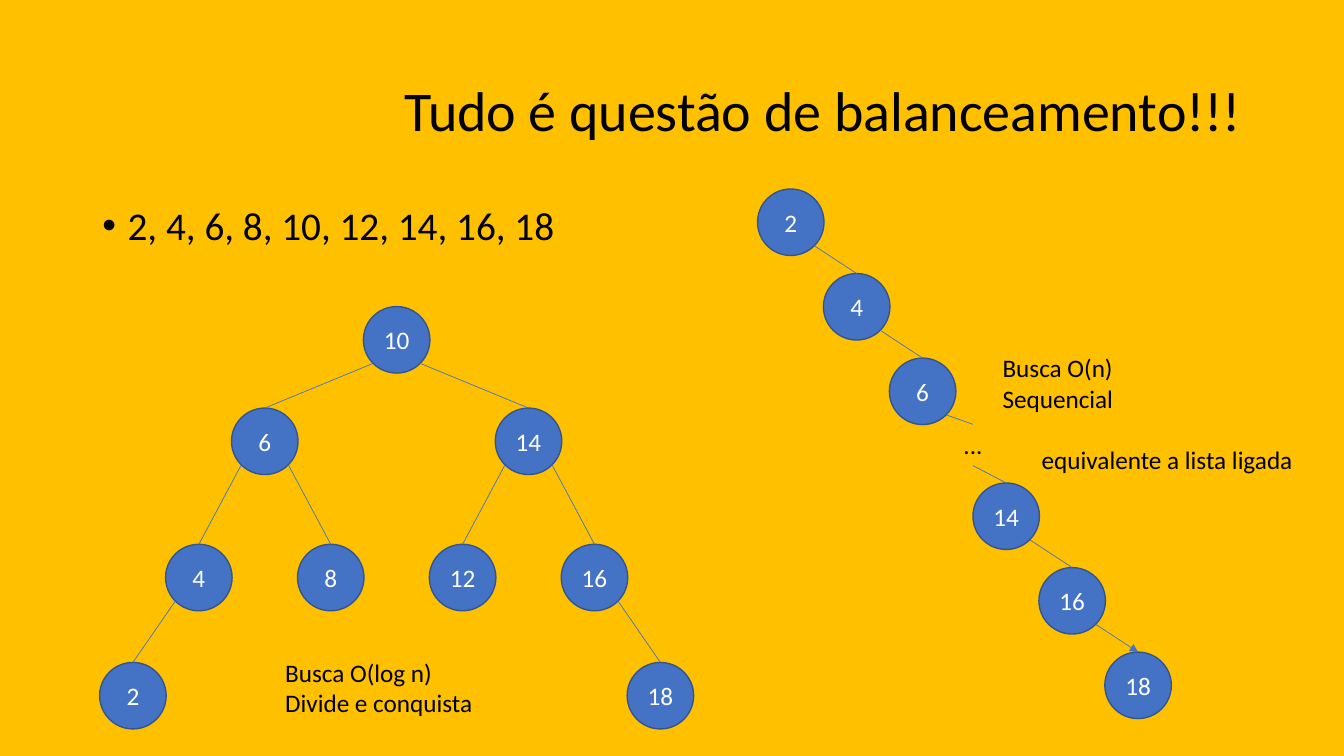
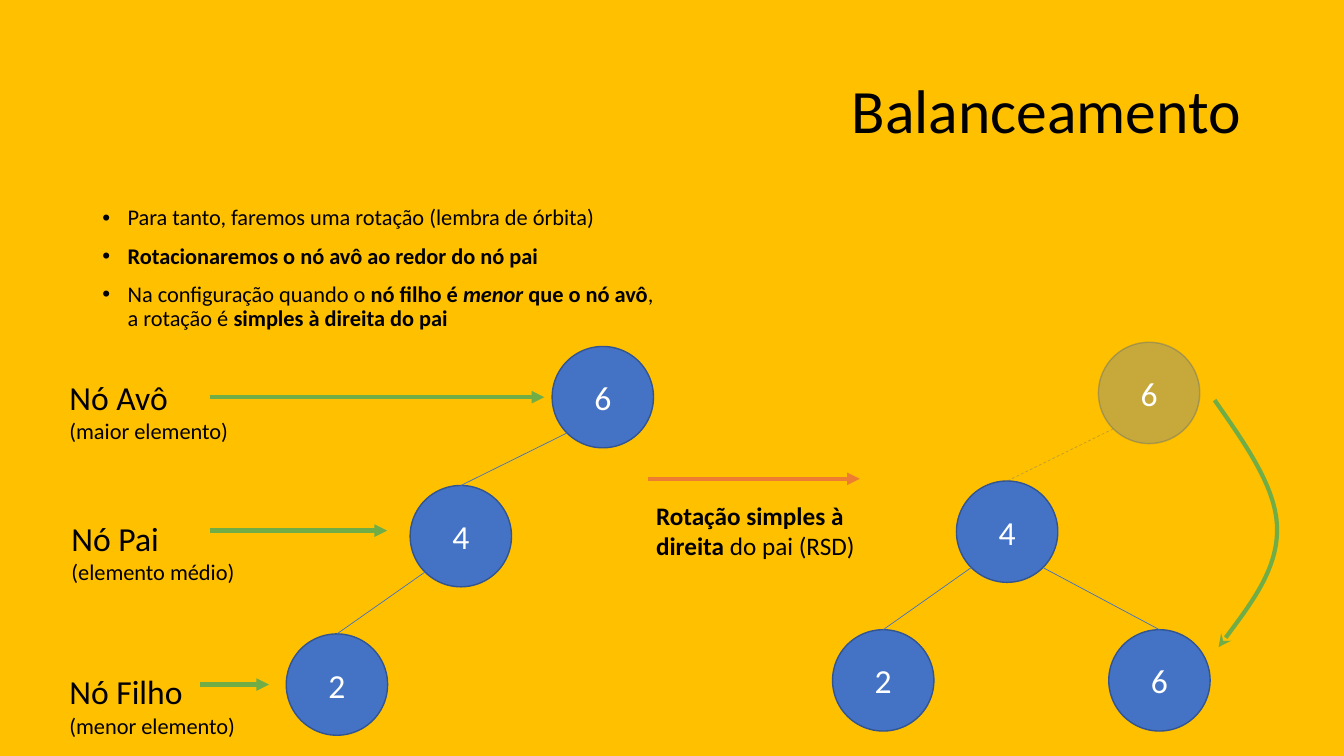
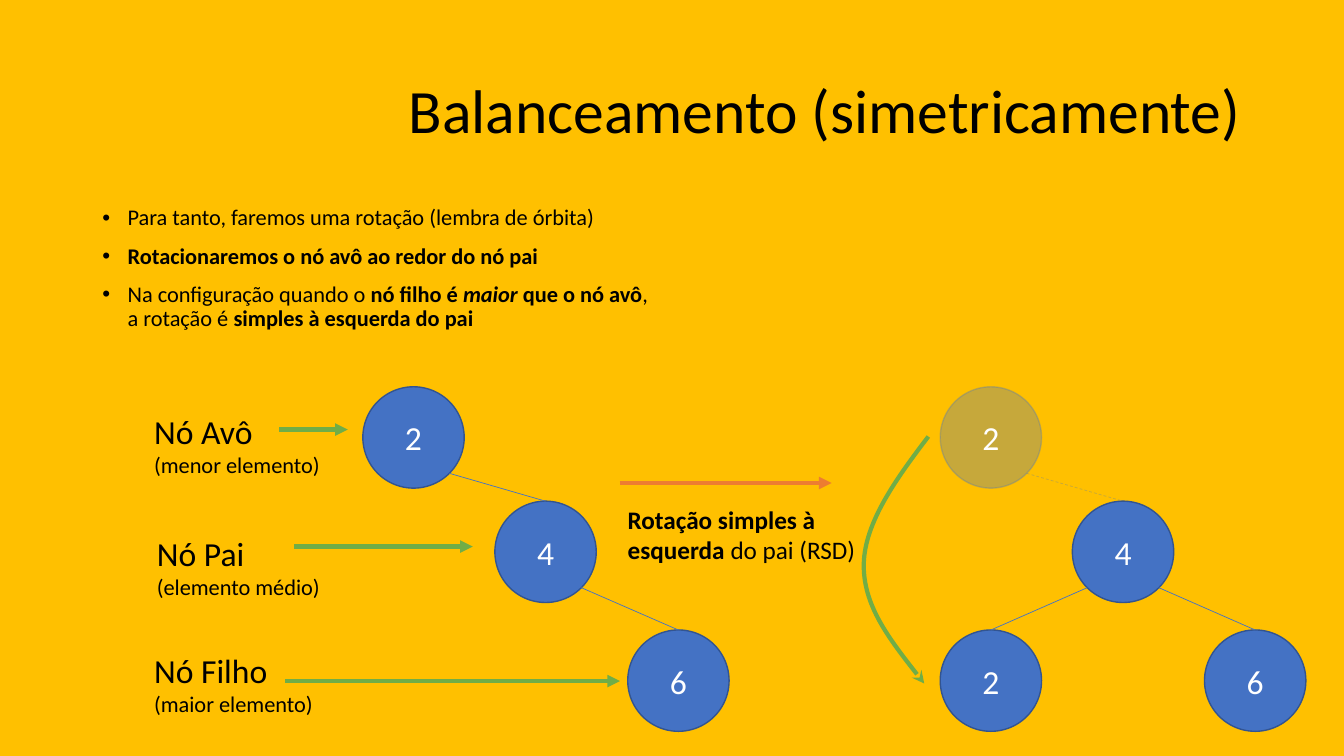
from dataclasses import dataclass
from math import sqrt

from pptx import Presentation
from pptx.dml.color import RGBColor
from pptx.enum import dml, shapes, text
from pptx.oxml import ns
from pptx.oxml.xmlchemy import OxmlElement
from pptx.util import Pt

AMBER = RGBColor(0xFF, 0xC0, 0x00)
BLUE = RGBColor(0x44, 0x72, 0xC4)
NAVY = RGBColor(0x32, 0x54, 0x91)
GREEN = RGBColor(0x70, 0xAD, 0x47)
ORANGE = RGBColor(0xED, 0x7D, 0x31)
BLACK = RGBColor(0x00, 0x00, 0x00)
WHITE = RGBColor(0xFF, 0xFF, 0xFF)
FONT = "Calibri"
GHOST_ALPHA = 30

Point = tuple[float, float]


@dataclass(frozen=True)
class Run:
    words: str
    bold: bool = False
    italic: bool = False


@dataclass(frozen=True)
class Para:
    runs: tuple[Run, ...]
    size: float = 18
    indent: float = 0
    before: float = 0


@dataclass(frozen=True)
class Node:
    value: int
    left: float
    top: float
    diameter: float
    ghost_line: RGBColor | None = None

    @property
    def crown(self) -> Point:
        return self.left + self.diameter / 2, self.top

    def corner(self, side: int) -> Point:
        """Lower diagonal point: side -1 is left, 1 is right."""
        radius = self.diameter / 2
        reach = radius / sqrt(2)
        return self.left + radius + side * reach, self.top + radius + reach


@dataclass(frozen=True)
class Role:
    name: str
    caption: str
    at: Point
    width: float
    arrow: tuple[float, float, float]  # start x, end x, y


@dataclass(frozen=True)
class Rotation:
    title: str
    order: str
    direction: str
    before: tuple[Node, Node, Node]  # grandparent, parent, child
    ghost: Node
    after: tuple[Node, Node, Node]  # root, left, right
    roles: tuple[Role, ...]
    step_at: Point
    step_text_width: float
    swing: tuple[Point, ...]


# Text
def plain(words: str, **style: float) -> Para:
    return Para((Run(words),), **style)


def write(frame, paras: list[Para], color=BLACK, align=text.PP_ALIGN.LEFT) -> None:
    for index, para in enumerate(paras):
        line = frame.paragraphs[0] if index == 0 else frame.add_paragraph()
        line.alignment = align
        line.space_before = Pt(para.before)
        line.font.name, line.font.size = FONT, Pt(para.size)
        line.font.color.rgb = color
        if para.indent:
            line._p.get_or_add_pPr().set("marL", str(Pt(para.indent)))
        for part in para.runs:
            run = line.add_run()
            run.text = part.words
            if part.bold:
                run.font.bold = True
            if part.italic:
                run.font.italic = True


def place(shape, left: float, top: float, width: float, height: float) -> None:
    shape.left, shape.top = Pt(left), Pt(top)
    shape.width, shape.height = Pt(width), Pt(height)


def add_note(slide, at: Point, width: float, height: float, paras: list[Para]) -> None:
    box = slide.shapes.add_textbox(Pt(at[0]), Pt(at[1]), Pt(width), Pt(height))
    box.text_frame.word_wrap = False
    box.text_frame.auto_size = text.MSO_AUTO_SIZE.SHAPE_TO_FIT_TEXT
    write(box.text_frame, paras)


def new_slide(deck, title: str, title_size: float, bullets: list[Para]):
    slide = deck.slides.add_slide(deck.slide_layouts[1])
    heading, body = slide.placeholders
    place(heading, 66, 28.75, 828, 104.4)
    place(body, 66, 144, 408, 342.7)
    heading.text_frame.vertical_anchor = text.MSO_ANCHOR.MIDDLE
    write(heading.text_frame, [plain(title, size=title_size)], align=text.PP_ALIGN.RIGHT)
    write(body.text_frame, bullets)
    for holder in (heading, body):
        holder.text_frame.auto_size = text.MSO_AUTO_SIZE.NONE
        for line in holder.text_frame.paragraphs:
            line.line_spacing = 0.9
    for line in body.text_frame.paragraphs:
        line._p.get_or_add_pPr().set("indent", str(-Pt(18)))
    return slide


# Nodes and lines
def fade(shape) -> None:
    for color in shape._element.spPr.iter(ns.qn("a:srgbClr")):
        alpha = OxmlElement("a:alpha")
        alpha.set("val", str(GHOST_ALPHA * 1000))
        color.append(alpha)


def add_arrowhead(line, kind: str) -> None:
    tail = OxmlElement("a:tailEnd")
    tail.set("type", kind)
    line.get_or_add_ln().append(tail) if hasattr(line, "get_or_add_ln") else line._get_or_add_ln().append(tail)


def add_node(slide, node: Node) -> None:
    circle = slide.shapes.add_shape(
        shapes.MSO_SHAPE.OVAL, Pt(node.left), Pt(node.top), Pt(node.diameter), Pt(node.diameter))
    circle.shadow.inherit = False
    circle.fill.solid()
    circle.fill.fore_color.rgb = BLUE
    circle.line.color.rgb = node.ghost_line or NAVY
    circle.line.width = Pt(1)
    if node.ghost_line:
        fade(circle)
    frame = circle.text_frame
    frame.margin_left = frame.margin_right = 0
    frame.vertical_anchor = text.MSO_ANCHOR.MIDDLE
    size = 24 if node.diameter > 60 else 18
    write(frame, [plain(str(node.value), size=size)], WHITE, text.PP_ALIGN.CENTER)


def add_line(slide, start: Point, end: Point, color=BLUE, width=0.5, arrow=False):
    line = slide.shapes.add_connector(
        shapes.MSO_CONNECTOR.STRAIGHT, *(Pt(length) for length in (*start, *end)))
    line.line.color.rgb = color
    line.line.width = Pt(width)
    if arrow:
        add_arrowhead(line, "triangle")
    line._element.spPr.append(OxmlElement("a:effectLst"))
    return line


def add_edge(slide, parent: Node, child: Node, arrow=False) -> None:
    side = 1 if child.left > parent.left else -1
    edge = add_line(slide, parent.corner(side), child.crown,
                    parent.ghost_line or BLUE, arrow=arrow)
    if parent.ghost_line:
        edge.line.dash_style = dml.MSO_LINE.DASH
        fade(edge)


def add_swing(slide, points: tuple[Point, ...]) -> None:
    """Curved arrow: a start, then three points for each cubic segment."""
    start, *rest = [(Pt(x), Pt(y)) for x, y in points]
    builder = slide.shapes.build_freeform(*start)
    builder.add_line_segments(rest, close=False)
    curve = builder.convert_to_shape()
    segments = list(curve._element.iter(ns.qn("a:lnTo")))
    for first in range(0, len(segments), 3):
        cubic = OxmlElement("a:cubicBezTo")
        segments[first].addprevious(cubic)
        for segment in segments[first:first + 3]:
            cubic.append(segment[0])
            segment.getparent().remove(segment)
    curve.shadow.inherit = False
    curve.fill.background()
    curve.line.color.rgb = GREEN
    curve.line.width = Pt(3)
    add_arrowhead(curve, "stealth")


# Slide 1: balanced tree against chain
SMALL = 47.5
LEVEL_TOPS = (219, 291.5, 388.8, 473.2)
TREE_LEVELS = {10: 0, 6: 1, 14: 1, 4: 2, 8: 2, 12: 2, 16: 2, 2: 3, 18: 3}
TREE_EDGES = ((10, 6), (10, 14), (6, 4), (6, 8), (14, 12), (14, 16), (4, 2), (16, 18))
STEP_X, STEP_Y = 47.1, 60.4


def add_chain(slide, values: tuple[int, ...], left: float, top: float, arrow=False) -> list[Node]:
    chain = [Node(value, left + i * STEP_X, top + i * STEP_Y, SMALL)
             for i, value in enumerate(values)]
    for node in chain:
        add_node(slide, node)
    for upper, lower in zip(chain, chain[1:]):
        add_edge(slide, upper, lower, arrow and lower is chain[-1])
    return chain


def build_comparison(deck) -> None:
    slide = new_slide(deck, "Tudo é questão de balanceamento!!!", 40,
                      [plain("2, 4, 6, 8, 10, 12, 14, 16, 18", size=28, indent=18, before=10)])

    # Balanced tree: columns follow the sorted order
    tree = {value: Node(value, 71.2 + (value / 2 - 1) * STEP_X, LEVEL_TOPS[level], SMALL)
            for value, level in TREE_LEVELS.items()}
    for node in tree.values():
        add_node(slide, node)
    for parent, child in TREE_EDGES:
        add_edge(slide, tree[parent], tree[child])

    # Degenerate chain with a gap
    head = add_chain(slide, (2, 4, 6), 541.1, 135)
    tail = add_chain(slide, (14, 16, 18), 695, 345, arrow=True)
    add_line(slide, head[-1].corner(1), (695, 303.1))
    add_line(slide, (695, 332.6), tail[0].crown)
    add_note(slide, (681.1, 303.1), 28.1, 29, [plain("...")])

    # Search costs
    add_note(slide, (196.6, 465.8), 149.8, 51, [plain("Busca O(log n)"), plain("Divide e conquista")])
    add_note(slide, (709, 248.4), 224.6, 94.3, [
        plain("Busca O(n)"), plain("Sequencial"),
        plain("equivalente a lista ligada", indent=28, before=22)])


# Slides 2 and 3: the two mirrored rotations
BIG = 72.4
ROTATIONS = (
    Rotation(
        "Balanceamento", "menor", "direita",
        before=(Node(6, 394.4, 247.5, BIG), Node(4, 293, 346.8, BIG), Node(2, 204.5, 452.8, BIG)),
        ghost=Node(6, 784.6, 244.5, BIG, NAVY),
        after=(Node(4, 683.2, 343.6, BIG), Node(2, 594.7, 449.8, BIG), Node(6, 792, 449.8, BIG)),
        roles=(Role("Nó Avô", "maior", (42.5, 265.7), 129.6, (149.8, 388.8, 283.7)),
               Role("Nó Pai", "médio", (44, 366.5), 132.5, (149.8, 276.5, 379)),
               Role("Nó Filho", "menor", (42.5, 476), 134.6, (142.6, 192.2, 489))),
        step_at=(463, 342), step_text_width=157.7,
        swing=((867.6, 285.8), (889.2, 316.8), (911.5, 347.8), (912.2, 376.6),
               (913, 406), (891.4, 434.2), (870.5, 462.2)),
    ),
    Rotation(
        "Balanceamento (simetricamente)", "maior", "esquerda",
        before=(Node(2, 259.2, 276.3, BIG), Node(4, 353.5, 358, BIG), Node(6, 448.4, 450, BIG)),
        ghost=Node(2, 671.6, 276.3, BIG, BLUE),
        after=(Node(4, 766, 358, BIG), Node(2, 671.6, 450, BIG), Node(6, 860.4, 450, BIG)),
        roles=(Role("Nó Avô", "menor", (103, 290.2), 134.6, (199.4, 248.4, 306.8)),
               Role("Nó Pai", "médio", (105, 377.3), 132.5, (210.2, 337.7, 390.4)),
               Role("Nó Filho", "maior", (103, 460.8), 129.6, (203.8, 442.8, 486.5))),
        step_at=(442.8, 345), step_text_width=178.6,
        swing=((663.1, 311.8), (640.1, 342), (617.8, 373), (617, 402.5),
               (616.3, 432), (637.9, 460.1), (660.2, 488.2)),
    ),
)


def rotation_bullets(rotation: Rotation) -> list[Para]:
    lines = (
        (Run("Para tanto, faremos uma rotação (lembra de órbita)"),),
        (Run("Rotacionaremos o nó avô ao redor do nó pai", bold=True),),
        (Run("Na configuração quando o "), Run("nó filho é ", bold=True),
         Run(rotation.order, bold=True, italic=True), Run(" que o nó avô", bold=True),
         Run(", a rotação é "), Run(f"simples à {rotation.direction} do pai", bold=True)),
    )
    return [Para(runs, size=16, indent=18, before=10) for runs in lines]


def build_rotation(deck, rotation: Rotation) -> None:
    slide = new_slide(deck, rotation.title, 44, rotation_bullets(rotation))

    # Trees before and after
    grandparent, parent, child = rotation.before
    root, left, right = rotation.after
    for node in (*rotation.before, rotation.ghost, *rotation.after):
        add_node(slide, node)
    for upper, lower in ((grandparent, parent), (parent, child),
                         (rotation.ghost, root), (root, left), (root, right)):
        add_edge(slide, upper, lower)

    # Role labels and their arrows
    for role in rotation.roles:
        caption = f"(elemento {role.caption})" if role.caption == "médio" else f"({role.caption} elemento)"
        start, end, y = role.arrow
        add_note(slide, role.at, role.width, 55.4, [plain(role.name, size=24), plain(caption, size=16)])
        add_line(slide, (start, y), (end, y), GREEN, 3, arrow=True)

    # Rotation step
    x, y = rotation.step_at
    add_line(slide, (x, y), (x + 151.2, y), ORANGE, 3, arrow=True)
    add_note(slide, (x - 1.5, y + 11.5), rotation.step_text_width, 51, [
        Para((Run("Rotação simples à", bold=True),)),
        Para((Run(f"{rotation.direction} ", bold=True), Run("do pai (RSD)")))])
    add_swing(slide, rotation.swing)


def main() -> None:
    deck = Presentation()
    deck.slide_width, deck.slide_height = Pt(960), Pt(540)
    backdrop = deck.slide_master.background.fill
    backdrop.solid()
    backdrop.fore_color.rgb = AMBER
    build_comparison(deck)
    for rotation in ROTATIONS:
        build_rotation(deck, rotation)
    deck.save("out.pptx")


if __name__ == "__main__":
    main()
